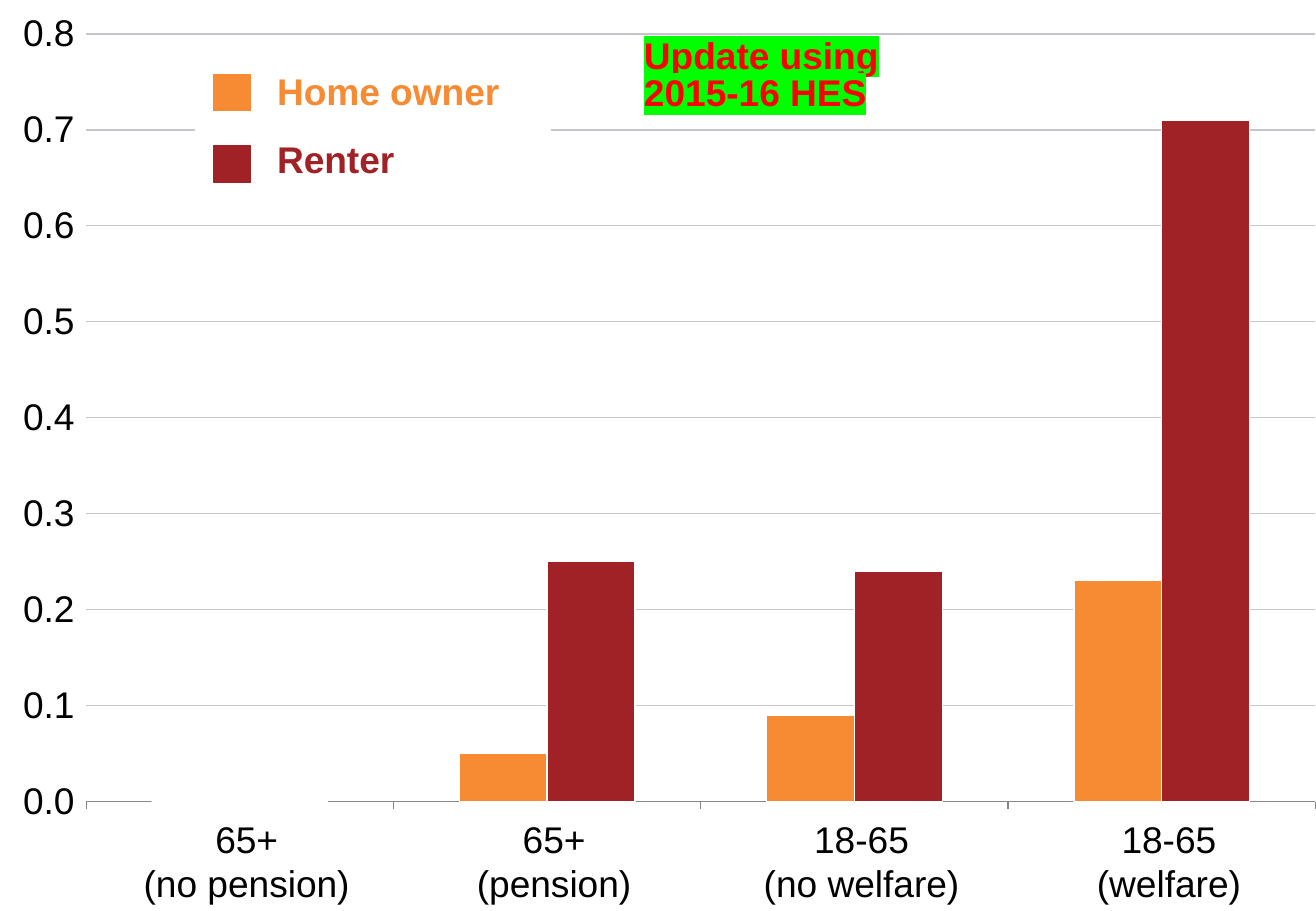
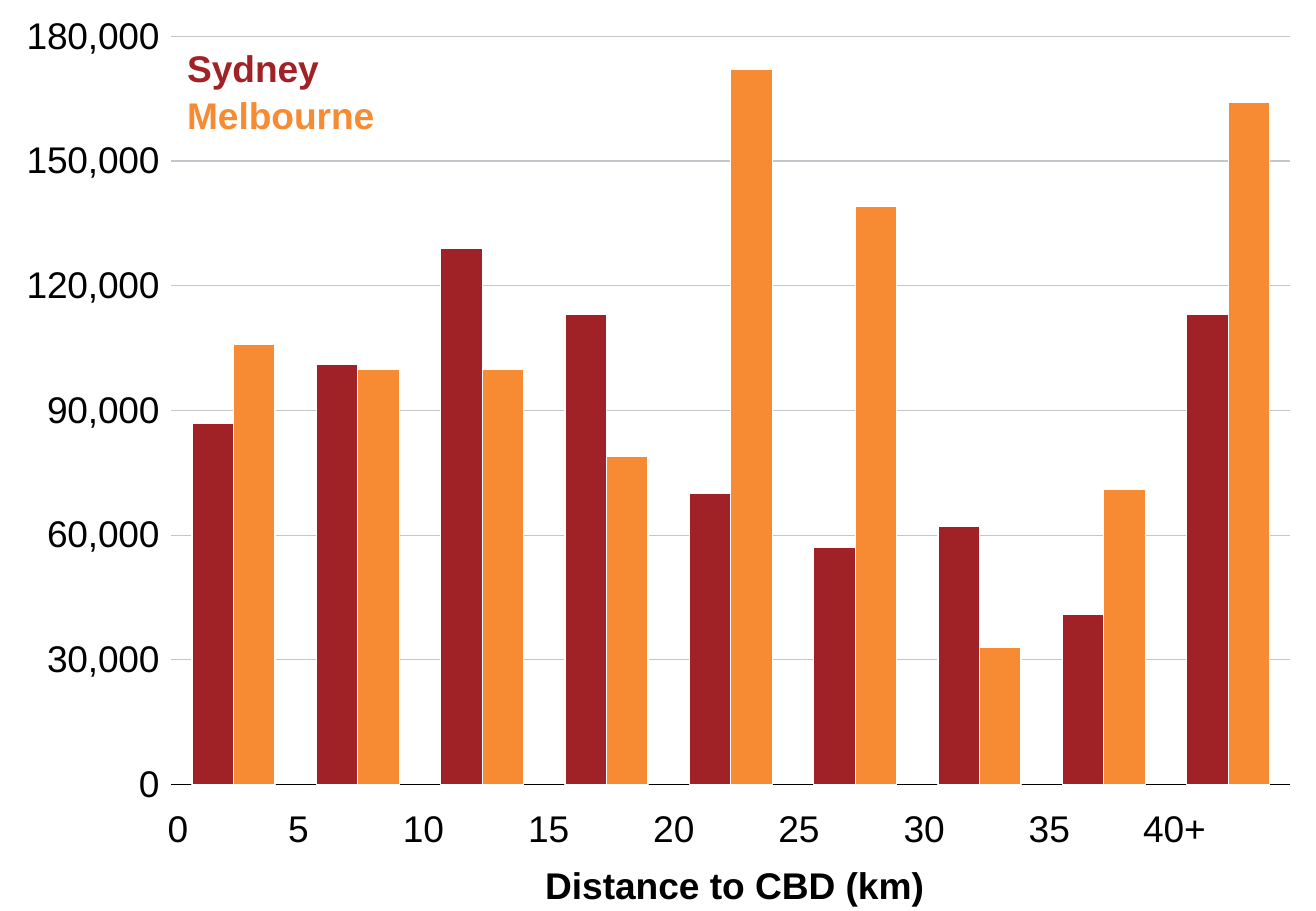
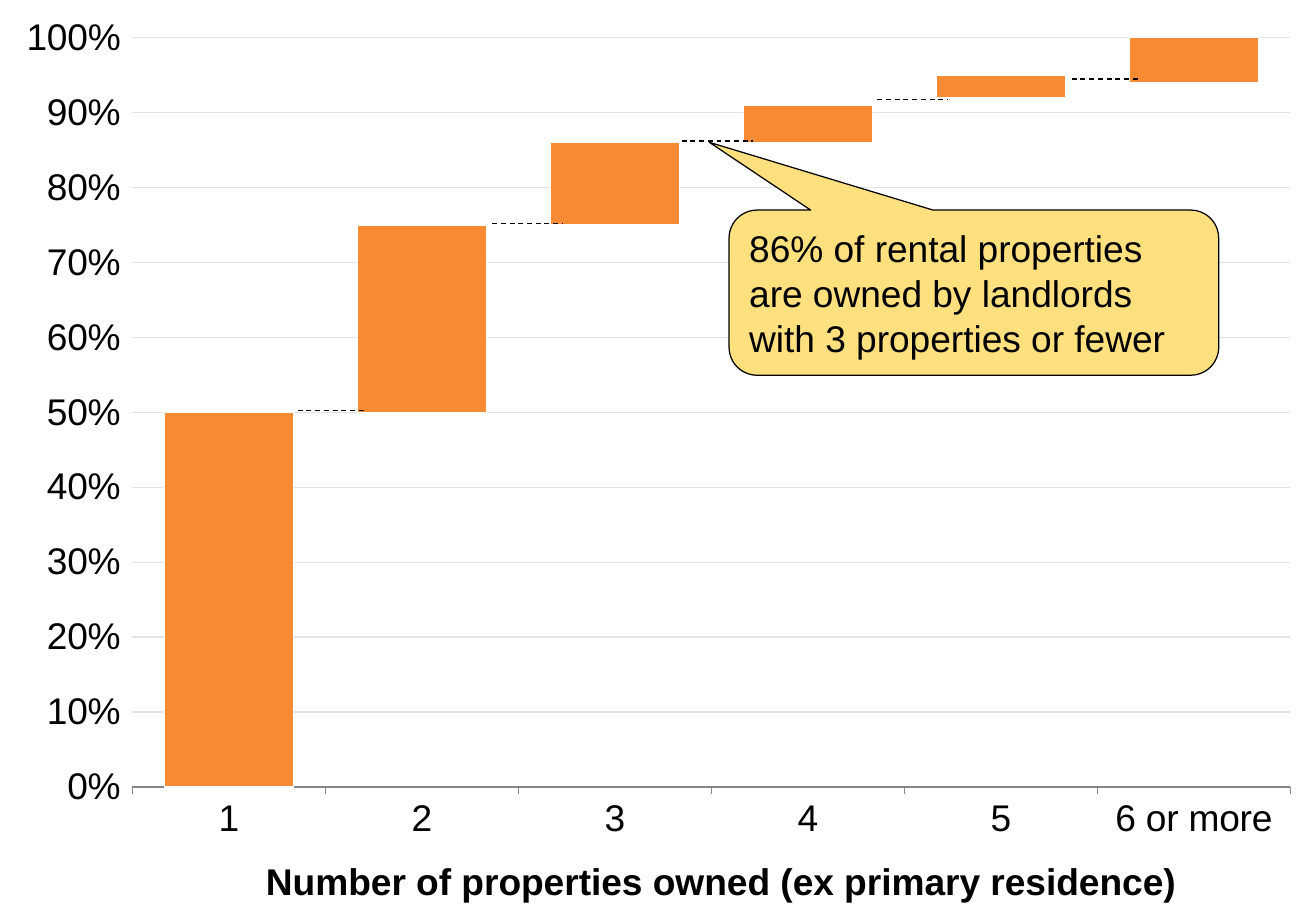
from lxml.etree import SubElement
from pptx import Presentation
from pptx.chart.data import CategoryChartData as ChartData
from pptx.dml.color import RGBColor
from pptx.enum.chart import XL_CHART_TYPE as Kind
from pptx.enum.chart import XL_TICK_LABEL_POSITION as Label
from pptx.enum.chart import XL_TICK_MARK as Tick
from pptx.enum.dml import MSO_LINE
from pptx.enum.shapes import MSO_CONNECTOR as Link
from pptx.enum.shapes import MSO_SHAPE as Shape
from pptx.enum.text import MSO_ANCHOR as Anchor
from pptx.enum.text import PP_ALIGN as Align
from pptx.oxml import parse_xml
from pptx.oxml.ns import nsdecls, qn
from pptx.util import Pt

PX = 9144  # 100 px to the inch
WIDE, HIGH = 1083, 750
FONT, SIZE, THIN = "Arial", 22, 0.75

BLACK = RGBColor(0x00, 0x00, 0x00)
WHITE = RGBColor(0xFF, 0xFF, 0xFF)
ORANGE = RGBColor(0xF6, 0x8B, 0x33)
MAROON = RGBColor(0xA0, 0x22, 0x26)
YELLOW = RGBColor(0xFF, 0xE0, 0x7F)
RED = RGBColor(0xFF, 0x00, 0x00)
GREY = RGBColor(0x86, 0x86, 0x86)
RULE = RGBColor(0xC3, 0xC7, 0xCB)
PALE = RGBColor(0xE1, 0xE3, 0xE5)
LIME = "00FF00"

# Series are (values, colour); plot is left, top, width, height in px.
STRESS = dict(
    kind=Kind.COLUMN_CLUSTERED, high=679, plot=(71, 28, 1012, 632),
    cats=["1", "2", "3", "4"],
    series=[([0, 0.05, 0.09, 0.23], ORANGE), ([0, 0.25, 0.24, 0.71], MAROON)],
    bars=dict(gap_width=150), grid=RULE, base=GREY, form="#,##0.0",
    scale=dict(minimum_scale=0, maximum_scale=0.8, major_unit=0.1),
    cat=dict(major_tick_mark=Tick.OUTSIDE, tick_label_position=Label.NONE))
GROUPS = [("65+\n(no pension)", 97), ("65+\n(pension)", 350),
          ("18-65\n(no welfare)", 603), ("18-65\n(welfare)", 856)]
KEYS = [("Home owner", ORANGE, 62, 60), ("Renter", MAROON, 118, 119)]

CITIES = dict(
    kind=Kind.COLUMN_CLUSTERED, high=677, plot=(141, 30, 921, 616),
    cats=[str(n) for n in range(1, 10)],
    series=[([87000, 101000, 129000, 113000, 70000, 57000, 62000, 41000,
              113000], MAROON),
            ([106000, 100000, 100000, 79000, 172000, 139000, 33000, 71000,
              164000], ORANGE)],
    bars=dict(gap_width=100), grid=RULE, base=BLACK, form="#,##0",
    scale=dict(minimum_scale=0, maximum_scale=180000, major_unit=30000),
    cat=dict(major_tick_mark=Tick.NONE, tick_label_position=Label.NONE))
NAMES = [("Sydney", MAROON), ("Melbourne", ORANGE)]
STEPS = ["5", "10", "15", "20", "25", "30", "35", "40+"]

OWNERS = dict(
    kind=Kind.COLUMN_STACKED, high=706, plot=(109, 25, 953, 623),
    cats=["1", "2", "3", "4", "5", "6 or more"],
    series=[([None, 0.5, 0.75, 0.86, 0.92, 0.94], None),
            ([0.5, 0.25, 0.11, 0.05, 0.03, 0.06], ORANGE)],
    bars=dict(gap_width=50, overlap=100), grid=PALE, base=GREY, form="0%",
    scale=dict(minimum_scale=0, maximum_scale=1.01, major_unit=0.1),
    cat=dict(major_tick_mark=Tick.OUTSIDE, tick_label_position=Label.LOW))
DASHES = [(245, 301, 338), (405, 463, 184), (561, 620, 116),
          (722, 780, 82), (882, 937, 65)]
NOTE = ("86% of rental properties are owned by landlords "
        "with 3 properties or fewer")


def assign(item, values):
    for name, value in values.items():
        setattr(item, name, value)


def emu(*sizes):
    return [size * PX for size in sizes]


def stroke(line, color):
    line.color.rgb = color
    line.width = Pt(THIN)


def paint(part, color):
    part.fill.solid()
    part.fill.fore_color.rgb = color


def write(shape, text, color=BLACK, bold=False, align=Align.LEFT,
          space=None, mark=None, inset=0):
    frame = shape.text_frame
    frame.word_wrap = True
    if inset is not None:
        assign(frame, dict(margin_left=inset, margin_right=inset,
                           margin_top=inset, margin_bottom=inset))
    para = frame.paragraphs[0]
    para.text = text
    assign(para, dict(alignment=align, line_spacing=space))
    for run in para.runs:
        assign(run.font, dict(size=Pt(SIZE), name=FONT, bold=bold))
        run.font.color.rgb = color
        if mark:
            fill = run.font._element.find(qn("a:solidFill"))
            fill.addnext(parse_xml(
                f'<a:highlight {nsdecls("a")}><a:srgbClr val="{mark}"/>'
                '</a:highlight>'))


def add_text(slide, box, text, **style):
    write(slide.shapes.add_textbox(*emu(*box)), text, **style)


def add_box(slide, box, fill, line=None, form=Shape.RECTANGLE):
    shape = slide.shapes.add_shape(form, *emu(*box))
    shape.shadow.inherit = False
    paint(shape, fill)
    if line is None:
        shape.line.fill.background()
    else:
        stroke(shape.line, line)
    return shape


def add_dash(slide, left, right, top):
    line = slide.shapes.add_connector(Link.STRAIGHT,
                                      *emu(left, top, right, top))
    stroke(line.line, BLACK)
    line.line.dash_style = MSO_LINE.DASH
    SubElement(line._element.spPr, qn("a:effectLst"))


def fix_plot(chart, plot, high):
    """Pin the inner plot area, given in px, inside the chart."""
    area = chart._chartSpace.chart.plotArea
    for old in area.findall(qn("c:layout")):
        area.remove(old)
    sizes = [n / full for n, full in zip(plot, (WIDE, high) * 2)]
    items = "".join(f'<c:{tag} val="{size:.4f}"/>'
                    for tag, size in zip("xywh", sizes))
    area.insert(0, parse_xml(
        f'<c:layout {nsdecls("c")}><c:manualLayout>'
        '<c:layoutTarget val="inner"/><c:xMode val="edge"/>'
        f'<c:yMode val="edge"/>{items}</c:manualLayout></c:layout>'))


def draw_chart(slide, info):
    data = ChartData()
    data.categories = info["cats"]
    for n, (values, _) in enumerate(info["series"], 1):
        data.add_series(f"Series {n}", values)
    chart = slide.shapes.add_chart(
        info["kind"], *emu(0, 0, WIDE, info["high"]), data).chart
    assign(chart, dict(has_legend=False, has_title=False))
    assign(chart.font, dict(size=Pt(SIZE), name=FONT))
    chart.font.color.rgb = BLACK
    fix_plot(chart, info["plot"], info["high"])

    bars = chart.plots[0]
    assign(bars, dict(info["bars"], vary_by_categories=False))
    for series, (_, color) in zip(bars.series, info["series"]):
        if color is None:
            series.format.fill.background()
            series.format.line.fill.background()
        else:
            paint(series.format, color)
            stroke(series.format.line, WHITE)

    cat, val = chart.category_axis, chart.value_axis
    assign(cat, dict(info["cat"], has_major_gridlines=False))
    stroke(cat.format.line, info["base"])
    assign(val, dict(info["scale"], has_major_gridlines=True,
                     major_tick_mark=Tick.OUTSIDE))
    assign(val.tick_labels, dict(number_format=info["form"],
                                 number_format_is_linked=False))
    val.format.line.fill.background()
    stroke(val.major_gridlines.format.line, info["grid"])


def stress_slide(slide):
    draw_chart(slide, STRESS)
    for text, left in GROUPS:
        add_text(slide, (left, 672, 212, 74), text, align=Align.CENTER)
    add_box(slide, (161, 40, 292, 128), WHITE, WHITE)
    for text, color, top, mark in KEYS:
        add_text(slide, (228, top, 198, 32), text, color=color, bold=True,
                 space=0.85)
        add_box(slide, (175, mark, 32, 32), color, WHITE)
    add_text(slide, (530, 32, 197, 63), "Update using 2015-16 HES",
             color=RED, bold=True, space=0.85, mark=LIME)


def city_slide(slide):
    draw_chart(slide, CITIES)
    add_text(slide, (142, 710, 925, 37), "Distance to CBD (km)", bold=True,
             align=Align.CENTER)
    for n, (text, color) in enumerate(NAMES):
        add_text(slide, (154, 37 + 39 * n, 174, 37), text, color=color,
                 bold=True)
    ticks = [(text, 211 + 103 * n) for n, text in enumerate(STEPS)]
    for text, left in ticks + [("0", 112)]:
        write(add_box(slide, (left, 663, 69, 37), WHITE), text,
              align=Align.CENTER)


def owner_slide(slide):
    draw_chart(slide, OWNERS)
    add_text(slide, (217, 707, 753, 37),
             "Number of properties owned (ex primary residence)", bold=True,
             align=Align.CENTER)
    for dash in DASHES:
        add_dash(slide, *dash)
    note = add_box(slide, (600, 173, 403, 136), YELLOW, BLACK,
                   Shape.ROUNDED_RECTANGULAR_CALLOUT)
    for n, value in enumerate((-0.54, -0.91, 0.17)):
        note.adjustments[n] = value
    write(note, NOTE, inset=None)
    note.text_frame.vertical_anchor = Anchor.MIDDLE


def main():
    deck = Presentation()
    deck.slide_width, deck.slide_height = emu(WIDE, HIGH)
    for build in (stress_slide, city_slide, owner_slide):
        build(deck.slides.add_slide(deck.slide_layouts[6]))
    deck.save("out.pptx")


if __name__ == "__main__":
    main()
